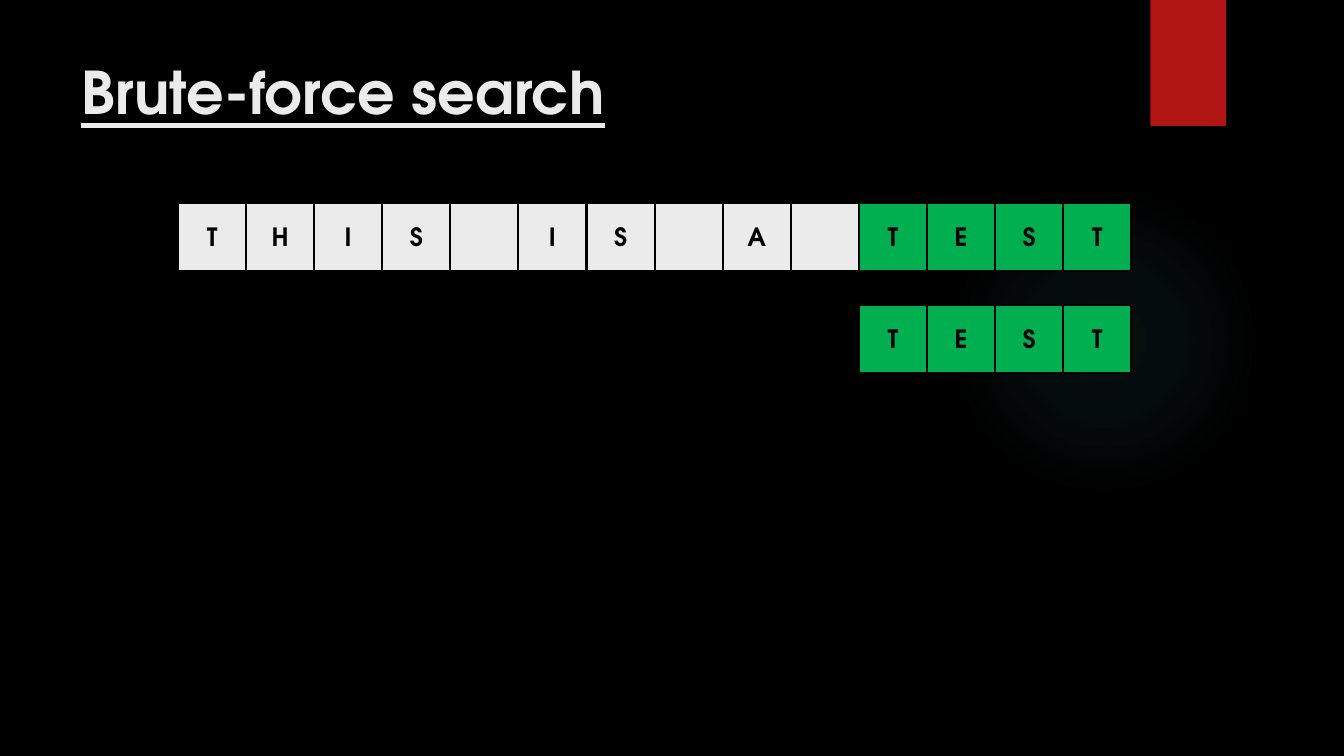
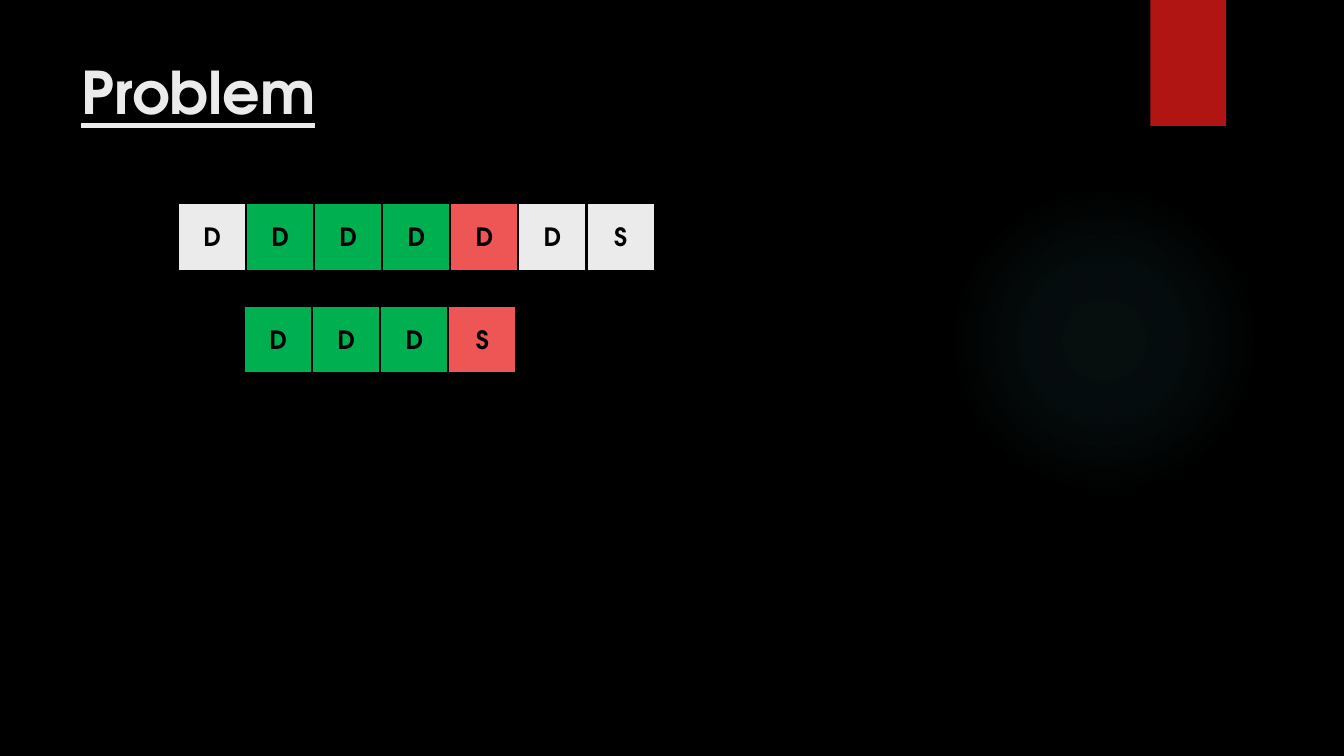
from dataclasses import dataclass

from lxml import etree
from pptx import Presentation
from pptx.dml.color import RGBColor
from pptx.enum.shapes import MSO_SHAPE
from pptx.enum.text import MSO_ANCHOR, PP_ALIGN
from pptx.oxml import parse_xml
from pptx.oxml.ns import nsdecls, qn
from pptx.util import Pt

RECTANGLE = MSO_SHAPE.RECTANGLE
OVAL = MSO_SHAPE.OVAL
MIDDLE = MSO_ANCHOR.MIDDLE
TOP = MSO_ANCHOR.TOP
CENTER = PP_ALIGN.CENTER

CELL_PITCH = 48.63
TEXT_LEFT = 127.2
TEXT_TOP = 144.72


@dataclass(frozen=True)
class Theme:
    font: str = "TeX Gyre Adventor"
    background: str = "000000"
    ink: str = "000000"
    title: str = "EBEBEB"
    ribbon: str = "B01513"
    glow: str = "50B9C1"
    plain: str = "EBEBEB"
    match: str = "00B050"
    mismatch: str = "ED5654"
    title_size: float = 42
    letter_size: float = 18
    cell_border: float = 1.5


THEME = Theme()
CELL_FILLS = {".": THEME.plain, "+": THEME.match, "-": THEME.mismatch}


def paint(fill, color):
    fill.solid()
    fill.fore_color.rgb = RGBColor.from_string(color)


def style_font(font, size, color):
    font.name = THEME.font
    font.size = Pt(size)
    font.bold = True
    font.color.rgb = RGBColor.from_string(color)


def add_block(slide, preset, left, top, width, height, color):
    block = slide.shapes.add_shape(preset, Pt(left), Pt(top), Pt(width), Pt(height))
    block.shadow.inherit = False
    paint(block.fill, color)
    block.line.fill.background()
    return block


def add_glow(slide):
    glow = add_block(slide, OVAL, 677.5, 131.8, 221.8, 221.8, THEME.glow)
    gradient = parse_xml(
        f'<a:gradFill {nsdecls("a")} rotWithShape="1"><a:gsLst/>'
        '<a:path path="circle">'
        '<a:fillToRect l="50000" t="50000" r="50000" b="50000"/>'
        "</a:path></a:gradFill>"
    )
    stops = gradient.find(qn("a:gsLst"))
    for position, opacity in ((0, 7), (36, 6), (69, 0)):
        stop = etree.SubElement(stops, qn("a:gs"), pos=str(position * 1000))
        tint = etree.SubElement(stop, qn("a:srgbClr"), val=THEME.glow)
        etree.SubElement(tint, qn("a:alpha"), val=str(opacity * 1000))
    properties = glow.element.spPr
    properties.replace(properties.find(qn("a:solidFill")), gradient)


def add_title(slide, wording):
    title = slide.shapes.add_textbox(Pt(51.1), Pt(36), Pt(740.9), Pt(65.5))
    title.text_frame.word_wrap = True
    title.text_frame.vertical_anchor = TOP
    heading = title.text_frame.paragraphs[0]
    heading.text = wording
    style_font(heading.font, THEME.title_size, THEME.title)
    heading.font.underline = True


def add_cell(slide, left, top, letter, color):
    cell = add_block(slide, RECTANGLE, left, top, CELL_PITCH, CELL_PITCH, color)
    paint(cell.line.fill, THEME.ink)
    cell.line.width = Pt(THEME.cell_border)
    if letter == " ":
        return
    cell.text_frame.vertical_anchor = MIDDLE
    caption = cell.text_frame.paragraphs[0]
    caption.text = letter
    caption.alignment = CENTER
    style_font(caption.font, THEME.letter_size, THEME.ink)


def add_letter_row(slide, left, top, letters, marks):
    for column, (letter, mark) in enumerate(zip(letters, marks)):
        add_cell(slide, left + column * CELL_PITCH, top, letter, CELL_FILLS[mark])


def add_search_slide(deck, title, text, pattern, pattern_left, pattern_top):
    slide = deck.slides.add_slide(deck.slide_layouts[6])
    add_glow(slide)
    add_block(slide, RECTANGLE, 821.8, 0, 54, 90, THEME.ribbon)
    add_title(slide, title)
    add_letter_row(slide, TEXT_LEFT, TEXT_TOP, *text)
    add_letter_row(slide, pattern_left, pattern_top, *pattern)


def main():
    deck = Presentation()
    deck.slide_width = Pt(960)
    deck.slide_height = Pt(540)
    paint(deck.slide_master.background.fill, THEME.background)
    add_search_slide(
        deck,
        "Brute-force search",
        ("THIS IS A TEST", "..........++++"),
        ("TEST", "++++"),
        TEXT_LEFT + 10 * CELL_PITCH,
        217.6,
    )
    add_search_slide(
        deck,
        "Problem",
        ("DDDDDDS", ".+++-.."),
        ("DDDS", "+++-"),
        174.4,
        218.2,
    )
    deck.save("out.pptx")


if __name__ == "__main__":
    main()
